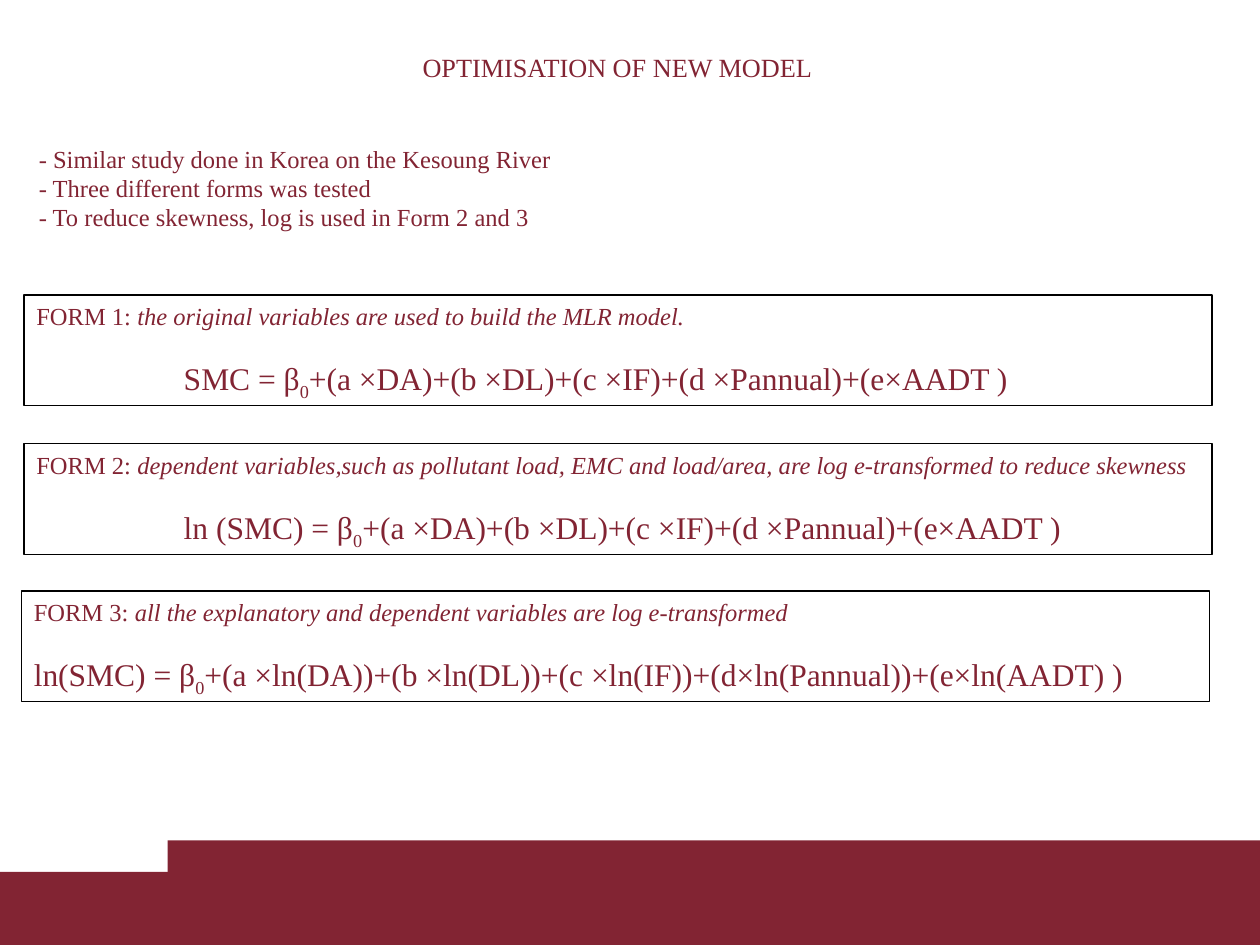
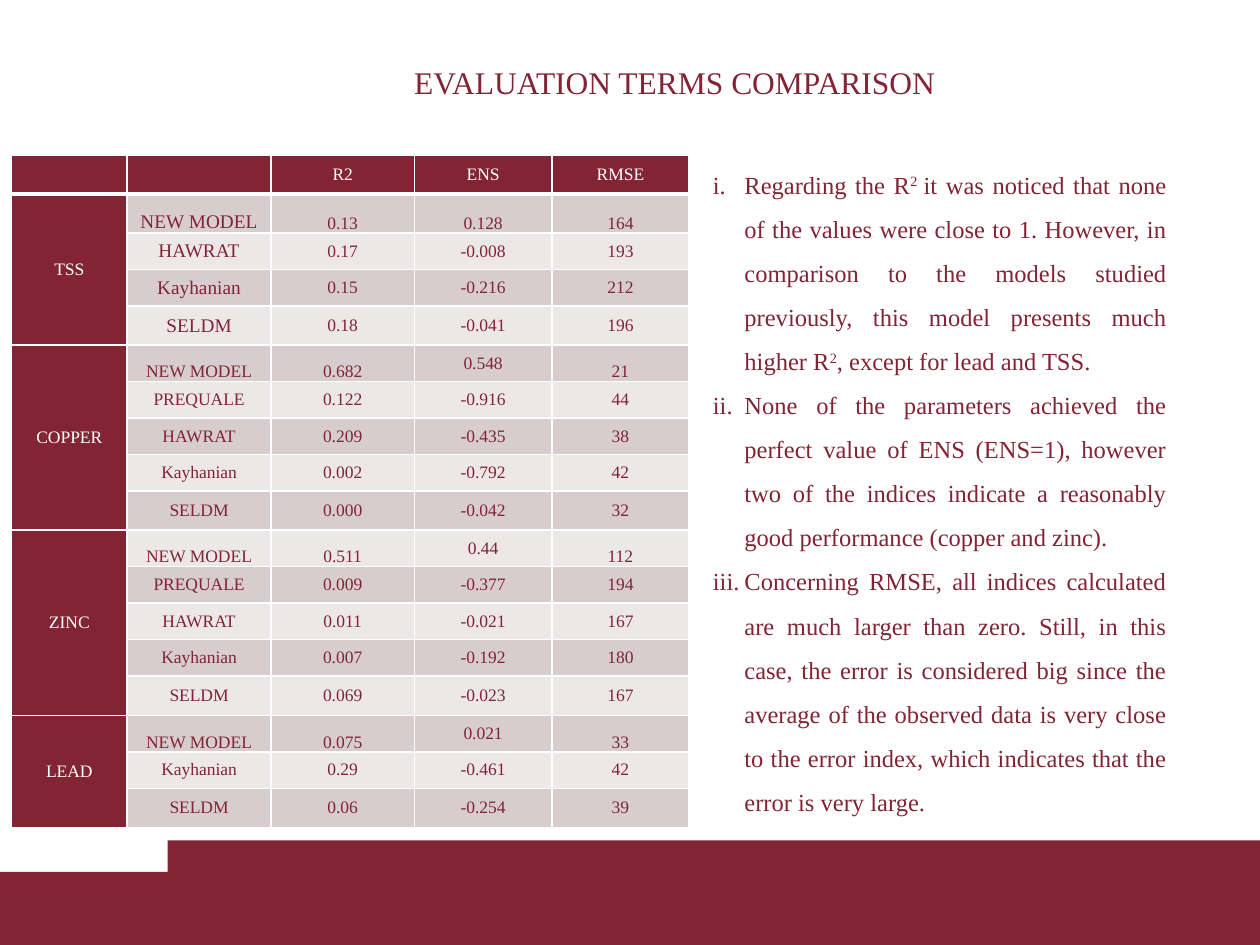
from itertools import accumulate

from lxml.etree import SubElement
from pptx import Presentation
from pptx.dml.color import RGBColor
from pptx.enum.shapes import MSO_SHAPE
from pptx.enum.text import MSO_ANCHOR, PP_ALIGN
from pptx.oxml.ns import qn
from pptx.util import Inches, Pt

COLORS = {"wine": "822433", "white": "FFFFFF", "black": "000000",
          "dark": "D8CDCE", "light": "EDE8E8"}
FONT = "Times New Roman"

NOTES = ["- Similar study done in Korea on the Kesoung River",
         "- Three different forms was tested",
         "- To reduce skewness, log is used in Form 2 and 3"]

SUM = "+(a ×DA)+(b ×DL)+(c ×IF)+(d ×Pannual)+(e×AADT )"
LOG_SUM = "+(a ×ln(DA))+(b ×ln(DL))+(c ×ln(IF))+(d×ln(Pannual))+(e×ln(AADT) )"
FORMS = [
    (0.19, 2.34, "FORM 1: ", "the original variables are used to build the MLR model.",
     "SMC = β", SUM, 1.17),
    (0.19, 3.52, "FORM 2: ", "dependent variables,such as pollutant load, EMC and load/area, "
     "are log e-transformed to reduce skewness", "ln (SMC) = β", SUM, 1.17),
    (0.17, 4.69, "FORM 3: ", "all the explanatory and dependent variables are log e-transformed",
     "ln(SMC) = β", LOG_SUM, 0),
]

HEADS = ["", "", "R2", "ENS", "RMSE"]
WIDTHS = [0.92, 1.14, 1.14, 1.09, 1.09]
GROUPS = {
    "TSS": [("NEW MODEL", "0.13", "0.128", "164"),
            ("HAWRAT", "0.17", "-0.008", "193"),
            ("Kayhanian", "0.15", "-0.216", "212"),
            ("SELDM", "0.18", "-0.041", "196")],
    "COPPER": [("NEW MODEL", "0.682", "0.548", "21"),
               ("PREQUALE", "0.122", "-0.916", "44"),
               ("HAWRAT", "0.209", "-0.435", "38"),
               ("Kayhanian", "0.002", "-0.792", "42"),
               ("SELDM", "0.000", "-0.042", "32")],
    "ZINC": [("NEW MODEL", "0.511", "0.44", "112"),
             ("PREQUALE", "0.009", "-0.377", "194"),
             ("HAWRAT", "0.011", "-0.021", "167"),
             ("Kayhanian", "0.007", "-0.192", "180"),
             ("SELDM", "0.069", "-0.023", "167")],
    "LEAD": [("NEW MODEL", "0.075", "0.021", "33"),
             ("Kayhanian", "0.29", "-0.461", "42"),
             ("SELDM", "0.06", "-0.254", "39")],
}

POINTS = [
    [("Regarding the R", 0), ("2 ", 30),
     ("it was noticed that none of the values were close to 1. However, in comparison to "
      "the models studied previously, this model presents much higher R", 0),
     ("2", 30), (", except for lead and TSS.", 0)],
    [("None of the parameters achieved the perfect value of ENS (ENS=1), however two of "
      "the indices indicate a reasonably good performance (copper and zinc).", 0)],
    [("Concerning RMSE, all indices calculated are much larger than zero. Still, in this "
      "case, the error is considered big since the average of the observed data is very "
      "close to the error index, which indicates that the error is very large.", 0)],
]


def color(name):
    return RGBColor.from_string(COLORS[name])


class Deck:
    def __init__(self):
        self.file = Presentation()
        self.file.slide_width = Inches(10)
        self.file.slide_height = Inches(7.5)

    def start(self, title, spot, size):
        self.slide = self.file.slides.add_slide(self.file.slide_layouts[6])
        self.rect((0, 6.92, 10, 0.58), fill="wine")
        self.rect((1.33, 6.67, 8.67, 0.83), fill="wine")
        line = self.text(spot).paragraphs[0]
        line.alignment = PP_ALIGN.CENTER
        self.run(line, title, size)

    def rect(self, spot, fill=None, edge=None):
        shape = self.slide.shapes.add_shape(MSO_SHAPE.RECTANGLE, *map(Inches, spot))
        shape.shadow.inherit = False
        if fill:
            shape.fill.solid()
            shape.fill.fore_color.rgb = color(fill)
        else:
            shape.fill.background()
        if edge:
            shape.line.color.rgb = color(edge)
            shape.line.width = Pt(0.75)
        else:
            shape.line.fill.background()
        return shape

    def text(self, spot):
        frame = self.slide.shapes.add_textbox(*map(Inches, spot)).text_frame
        frame.word_wrap = True
        return frame

    def lines(self, frame, count):
        return [frame.paragraphs[0]] + [frame.add_paragraph() for _ in range(count - 1)]

    def run(self, line, words, size=14, tint="wine", slant=False, base=0):
        run = line.add_run()
        run.text = words
        run.font.name = FONT
        run.font.size = Pt(size)
        run.font.color.rgb = color(tint)
        run.font.italic = slant
        if base:
            run.font._element.set("baseline", str(base * 1000))

    def form(self, left, top, label, note, lead, rest, indent):
        frame = self.rect((left, top, 9.43, 0.88), edge="black").text_frame
        frame.word_wrap = True
        frame.vertical_anchor = MSO_ANCHOR.TOP
        head, math = self.lines(frame, 2)
        head.alignment = math.alignment = PP_ALIGN.LEFT
        self.run(head, label)
        self.run(head, note, slant=True)
        math.space_before = Pt(16.5)
        math._p.get_or_add_pPr().set("marL", str(Inches(indent)))
        self.run(math, lead, 18)
        self.run(math, "0", 18, base=-25)
        self.run(math, rest, 18)

    def points(self, spot, items):
        frame = self.text(spot)
        frame.margin_right = Inches(0.52)
        for line, parts in zip(self.lines(frame, len(items)), items):
            props = line._p.get_or_add_pPr()
            props.set("marL", str(Inches(1.25)))
            props.set("indent", str(Inches(-0.25)))
            SubElement(props, qn("a:buFont"), typeface="+mj-lt")
            SubElement(props, qn("a:buAutoNum"), type="romanLcPeriod")
            line.alignment = PP_ALIGN.JUSTIFY
            line.line_spacing = 1.5
            for words, base in parts:
                self.run(line, words, base=base)

    def cell(self, cell, words, fill, tint="wine", size=10, low=False, under=1):
        cell.margin_left = cell.margin_right = Inches(0.07)
        cell.margin_top = cell.margin_bottom = 0
        cell.vertical_anchor = MSO_ANCHOR.BOTTOM if low else MSO_ANCHOR.MIDDLE
        props = cell._tc.get_or_add_tcPr()
        for side, width in zip("LRTB", (1, 1, 1, under)):
            edge = SubElement(props, qn(f"a:ln{side}"), w=str(Pt(width)))
            paint = SubElement(edge, qn("a:solidFill"))
            SubElement(paint, qn("a:srgbClr"), val=COLORS["white"])
        cell.fill.solid()
        cell.fill.fore_color.rgb = color(fill)
        line = cell.text_frame.paragraphs[0]
        line.alignment = PP_ALIGN.CENTER
        self.run(line, words, size, tint)

    def table(self, spot, heads, widths, groups):
        ends = list(accumulate(len(rows) for rows in groups.values()))
        grid = self.slide.shapes.add_table(ends[-1] + 1, len(heads),
                                           *map(Inches, spot)).table
        for col, width in zip(grid.columns, widths):
            col.width = Inches(width)
        for at, row in enumerate(grid.rows):
            row.height = Inches(0.31 if at in (0, 1, *ends) else 0.29)
        for col, words in enumerate(heads):
            self.cell(grid.cell(0, col), words, "wine", "white", under=3)
        for end, (name, rows) in zip(ends, groups.items()):
            top = end - len(rows) + 1
            for at, row in enumerate(rows, top):
                first = at == top
                self.cell(grid.cell(at, 0), name if first else "", "wine", "white")
                for col, words in enumerate(row, 1):
                    self.cell(grid.cell(at, col), words, "dark" if at % 2 else "light",
                              size=11 if name == "TSS" and col == 1 else 10,
                              low=first and (name == "TSS" or col != 3))
            grid.cell(top, 0).merge(grid.cell(end, 0))


def main():
    deck = Deck()

    deck.start("OPTIMISATION OF NEW MODEL", (0.35, 0.36, 9.1, 0.51), 15)
    for form in FORMS:
        deck.form(*form)
    frame = deck.text((0.21, 1.09, 5, 0.81))
    for line, words in zip(deck.lines(frame, len(NOTES)), NOTES):
        deck.run(line, words)

    deck.start("EVALUATION TERMS COMPARISON", (1.22, 0.45, 8.27, 0.55), 18)
    deck.table((0.09, 1.23, 5.38, 5.31), HEADS, WIDTHS, GROUPS)
    deck.points((4.56, 1.18, 5.22, 5.36), POINTS)

    deck.file.save("out.pptx")


if __name__ == "__main__":
    main()
